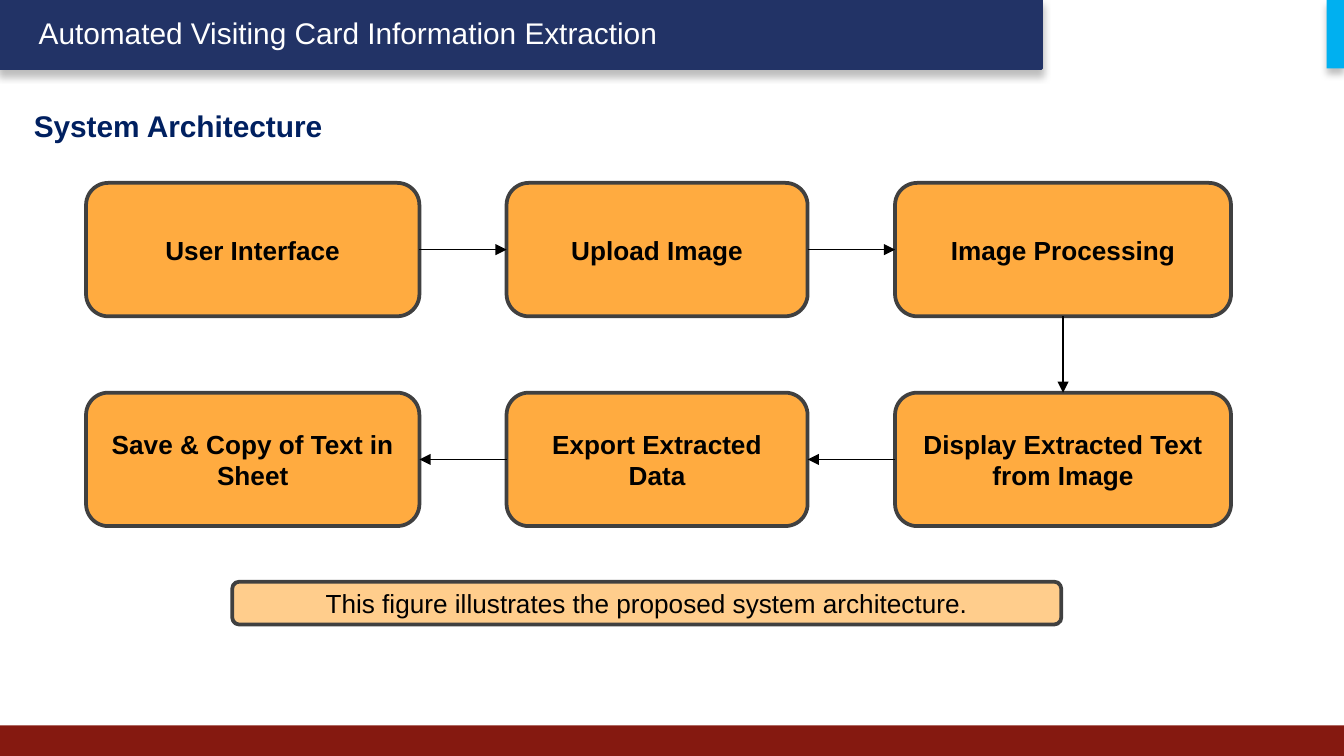
from dataclasses import dataclass
from itertools import pairwise

from lxml.etree import SubElement
from pptx import Presentation
from pptx.dml.color import RGBColor
from pptx.enum.shapes import MSO_CONNECTOR, MSO_SHAPE
from pptx.enum.text import MSO_ANCHOR, PP_ALIGN
from pptx.oxml.ns import qn
from pptx.util import Pt

FONT = "Arial"
NAVY, ORANGE, PALE_ORANGE, GREY = "223366", "FFAB40", "FFCD8C", "404040"
TOP, LEFT, BOTTOM, RIGHT = range(4)
COLUMNS = [(46.1, 178.6), (271.4, 161.3), (479.5, 180)]  # left, width
ROWS = [98, 210.4]
STEP_HEIGHT = 71.5


@dataclass
class Step:
    text: str
    col: int
    row: int


STEPS = [
    Step("User Interface", 0, 0),
    Step("Upload Image", 1, 0),
    Step("Image Processing", 2, 0),
    Step("Display Extracted Text from Image", 2, 1),
    Step("Export Extracted Data", 1, 1),
    Step("Save & Copy of Text in Sheet", 0, 1),
]


def color(value: str) -> RGBColor:
    return RGBColor.from_string(value)


def write(sp, text: str, size: float, hex_color: str, bold: bool = False) -> None:
    tf = sp.text_frame
    tf.word_wrap = True
    tf.text = text
    font = tf.paragraphs[0].runs[0].font
    font.name, font.size, font.bold = FONT, Pt(size), bold
    font.color.rgb = color(hex_color)


def add_block(s, preset, left: float, top: float, width: float, height: float,
              fill: str, line: str | None = None):
    sp = s.shapes.add_shape(preset, Pt(left), Pt(top), Pt(width), Pt(height))
    sp.fill.solid()
    sp.fill.fore_color.rgb = color(fill)
    if line:
        sp.line.color.rgb = color(line)
        sp.line.width = Pt(2)
    else:
        sp.line.fill.background()
    sp.shadow.inherit = False
    return sp


def add_drop_shadow(sp) -> None:
    effects = sp.element.spPr.find(qn("a:effectLst"))
    shadow = SubElement(effects, qn("a:outerShdw"), blurRad=str(Pt(4)),
                        dist=str(Pt(3)), dir="5400000", algn="t", rotWithShape="0")
    black = SubElement(shadow, qn("a:srgbClr"), val="000000")
    SubElement(black, qn("a:alpha"), val="25000")


def add_label(s, text: str, left: float, top: float, width: float, height: float,
              hex_color: str, bold: bool = False) -> None:
    sp = s.shapes.add_textbox(Pt(left), Pt(top), Pt(width), Pt(height))
    write(sp, text, 16, hex_color, bold)


def add_box(s, text: str, left: float, top: float, width: float, height: float,
            fill: str, bold: bool):
    """Draw a rounded, outlined box with centred text."""
    sp = add_block(s, MSO_SHAPE.ROUNDED_RECTANGLE, left, top, width, height, fill, GREY)
    write(sp, text, 14, "000000", bold)
    sp.text_frame.vertical_anchor = MSO_ANCHOR.MIDDLE
    sp.text_frame.paragraphs[0].alignment = PP_ALIGN.CENTER
    return sp


def add_arrow(s, start, start_side: int, end, end_side: int) -> None:
    arrow = s.shapes.add_connector(MSO_CONNECTOR.STRAIGHT, 0, 0, 0, 0)
    arrow.begin_connect(start, start_side)
    arrow.end_connect(end, end_side)
    arrow.line.color.rgb = color("000000")
    arrow.line.width = Pt(0.75)
    SubElement(arrow.line._get_or_add_ln(), qn("a:tailEnd"), type="triangle")
    SubElement(arrow.element.spPr, qn("a:effectLst"))


def sides(a: Step, b: Step) -> tuple[int, int]:
    """Return the sides on which an arrow leaves a and enters b."""
    if a.col == b.col:
        return BOTTOM, TOP
    return (RIGHT, LEFT) if a.col < b.col else (LEFT, RIGHT)


def main() -> None:
    prs = Presentation()
    prs.slide_width, prs.slide_height = Pt(720), Pt(405)
    s = prs.slides.add_slide(prs.slide_layouts[6])

    add_block(s, MSO_SHAPE.RECTANGLE, 0, 388.6, 720, 16.4, "851910")
    add_drop_shadow(add_block(s, MSO_SHAPE.RECTANGLE, 0, 0, 558, 36.7, NAVY, NAVY))
    add_label(s, "Automated Visiting Card Information Extraction",
              13.7, 4.6, 496.8, 26.6, "FFFFFF")
    add_drop_shadow(add_block(s, MSO_SHAPE.RECTANGLE, 710.7, 0, 9.3, 36.7, "00B0F0"))
    add_label(s, "System Architecture", 11, 54, 671, 26.6, "002060", True)

    boxes = []
    for step in STEPS:
        left, width = COLUMNS[step.col]
        boxes.append(add_box(s, step.text, left, ROWS[step.row], width, STEP_HEIGHT,
                             ORANGE, True))
    for (a, start), (b, end) in pairwise(zip(STEPS, boxes)):
        start_side, end_side = sides(a, b)
        add_arrow(s, start, start_side, end, end_side)

    add_box(s, "This figure illustrates the proposed system architecture.",
            124.4, 311.6, 444.2, 23, PALE_ORANGE, False)
    prs.save("out.pptx")


if __name__ == "__main__":
    main()
